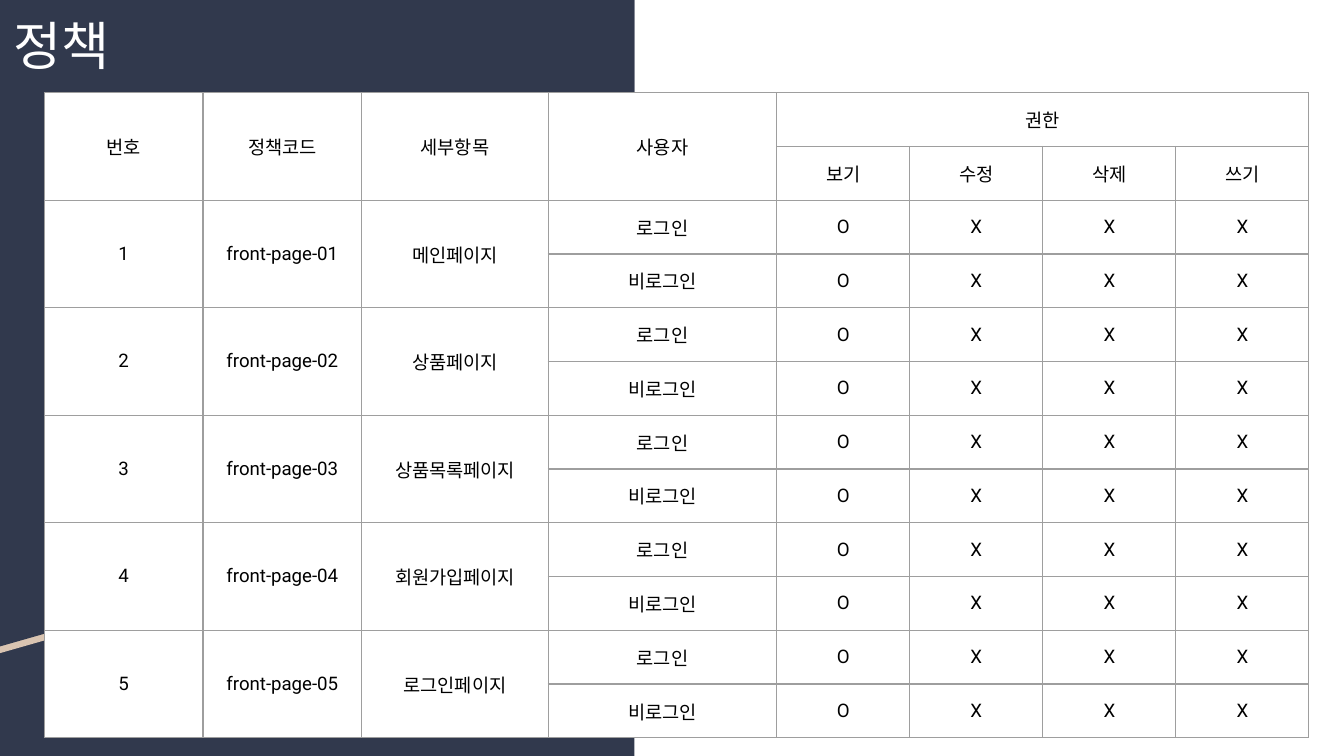
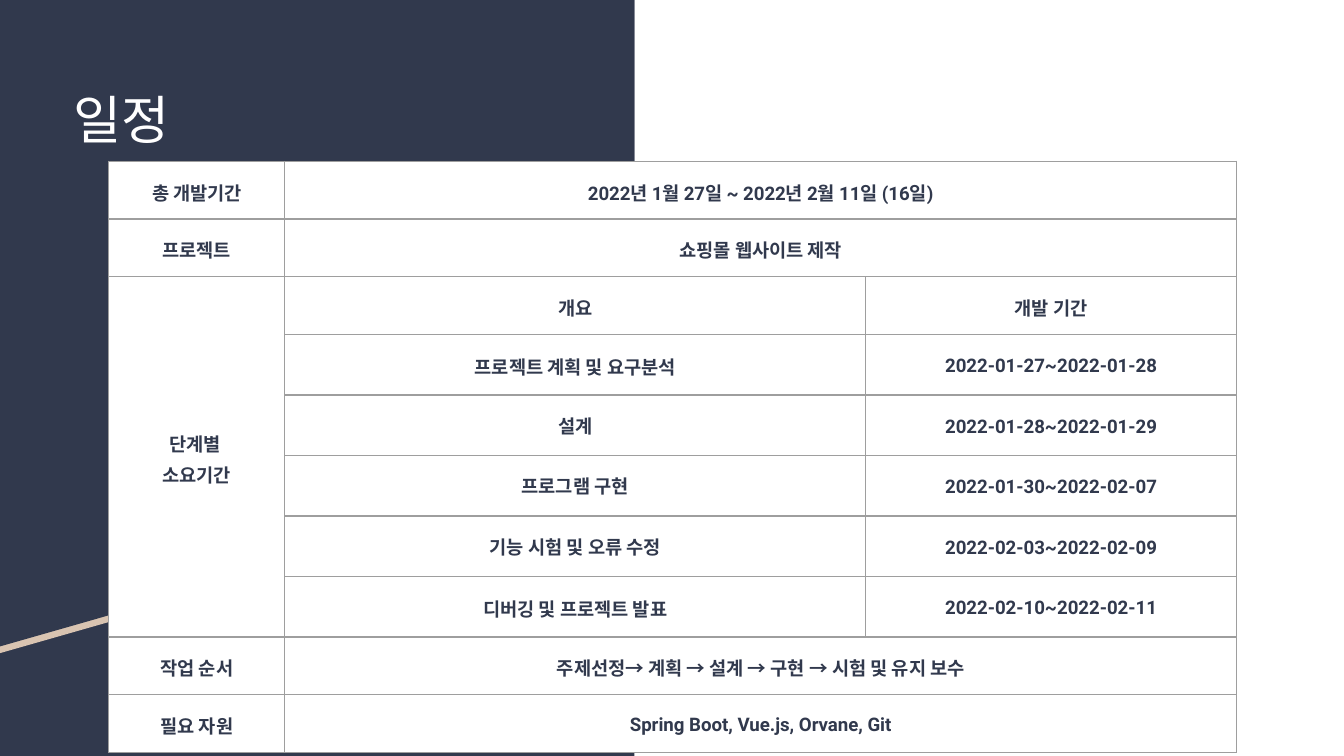
"""Build the policy and schedule slides of a shopping-site plan."""

from dataclasses import dataclass

from lxml.etree import SubElement
from pptx import Presentation
from pptx.dml.color import RGBColor
from pptx.enum.shapes import MSO_SHAPE
from pptx.enum.text import MSO_ANCHOR, PP_ALIGN
from pptx.oxml.ns import qn
from pptx.slide import Slide
from pptx.table import _Cell
from pptx.text.text import TextFrame
from pptx.util import Inches, Pt

COLORS = {
    "navy": "31394D",
    "sand": "D9C4B1",
    "white": "FFFFFF",
    "black": "000000",
    "border": "9E9E9E",
}
TITLE_FONT = "TeX Gyre Schola"
BODY_FONT = "Roboto"
INSET = Inches(0.1)
PAGE_WIDTH = Inches(10)
PAGE_HEIGHT = PAGE_WIDTH * 9 // 16
BAND_WIDTH = 4.72


@dataclass(frozen=True)
class Wedge:
    points: tuple[tuple[float, float], ...]
    color: str


@dataclass(frozen=True)
class Title:
    text: str
    left: float
    top: float


@dataclass(frozen=True)
class Span:
    row: int
    column: int
    height: int
    width: int


@dataclass(frozen=True)
class Grid:
    left: float
    top: float
    columns: tuple[float, ...]
    rows: tuple[float, ...]
    texts: list[list[str]]
    spans: list[Span]
    color: str
    bold: bool = False
    spacing: float = 1.0
    single_spaced: frozenset[tuple[int, int]] = frozenset()


WEDGES = (
    Wedge(((0, 0.05), (4.71, 0.05), (BAND_WIDTH, 3.51), (0, 4.86)), "sand"),
    Wedge(((0, 0), (BAND_WIDTH, 0), (BAND_WIDTH, 3.46), (0, 4.81)), "navy"),
)


def rgb(name: str) -> RGBColor:
    """Return the named colour."""
    return RGBColor.from_string(COLORS[name])


def write_text(
    frame: TextFrame,
    text: str,
    *,
    font: str,
    size: float,
    color: str,
    bold: bool = False,
    align: PP_ALIGN = PP_ALIGN.LEFT,
    spacing: float = 1.0,
    east_asian: str | None = None,
) -> None:
    """Write one formatted paragraph for each line of text."""
    for index, line in enumerate(text.split("\n")):
        para = frame.add_paragraph() if index else frame.paragraphs[0]
        para.alignment = align
        para.line_spacing = spacing
        span = para.add_run()
        span.text = line
        span.font.name = font
        span.font.size = Pt(size)
        span.font.bold = bold
        span.font.color.rgb = rgb(color)
        if east_asian:
            SubElement(span.font._element, qn("a:ea"), typeface=east_asian)


def draw_background(slide: Slide) -> None:
    """Draw the navy band and its slanted sand stripe."""
    band = slide.shapes.add_shape(
        MSO_SHAPE.RECTANGLE, 0, 0, Inches(BAND_WIDTH), PAGE_HEIGHT
    )
    shapes = [(band, "navy")]
    for wedge in WEDGES:
        start, *others = [(Inches(x), Inches(y)) for x, y in wedge.points]
        builder = slide.shapes.build_freeform(*start)
        builder.add_line_segments(others)
        shapes.append((builder.convert_to_shape(), wedge.color))
    for shape, color in shapes:
        shape.shadow.inherit = False
        shape.fill.solid()
        shape.fill.fore_color.rgb = rgb(color)
        shape.line.fill.background()


def draw_title(slide: Slide, title: Title) -> None:
    """Draw the slide title in the navy band."""
    box = slide.shapes.add_textbox(
        Inches(title.left), Inches(title.top), Inches(4.05), Inches(2.74)
    )
    frame = box.text_frame
    frame.word_wrap = True
    frame.margin_left = frame.margin_right = INSET
    frame.margin_top = frame.margin_bottom = INSET
    write_text(
        frame,
        title.text,
        font=TITLE_FONT,
        size=28,
        color="white",
        east_asian=TITLE_FONT,
    )


def style_cell(cell: _Cell) -> None:
    """Give a cell its borders, white fill, insets and middle anchor."""
    properties = cell._tc.get_or_add_tcPr()
    for side in ("lnL", "lnR", "lnT", "lnB"):
        line = SubElement(properties, qn(f"a:{side}"), w=str(Pt(0.75)))
        fill = SubElement(line, qn("a:solidFill"))
        SubElement(fill, qn("a:srgbClr"), val=COLORS["border"])
    cell.fill.solid()
    cell.fill.fore_color.rgb = rgb("white")
    cell.margin_left = cell.margin_right = INSET
    cell.margin_top = cell.margin_bottom = INSET
    cell.vertical_anchor = MSO_ANCHOR.MIDDLE


def draw_grid(slide: Slide, grid: Grid) -> None:
    """Draw a table with merged cells."""
    table = slide.shapes.add_table(
        len(grid.rows),
        len(grid.columns),
        Inches(grid.left),
        Inches(grid.top),
        Inches(sum(grid.columns)),
        Inches(sum(grid.rows)),
    ).table
    table.first_row = table.horz_banding = False
    for column, width in zip(table.columns, grid.columns):
        column.width = Inches(width)
    for row, height in zip(table.rows, grid.rows):
        row.height = Inches(height)
    for span in grid.spans:
        last = table.cell(span.row + span.height - 1, span.column + span.width - 1)
        table.cell(span.row, span.column).merge(last)
    for row_index, texts in enumerate(grid.texts):
        for column_index, text in enumerate(texts):
            cell = table.cell(row_index, column_index)
            style_cell(cell)
            if cell.is_spanned:
                continue
            single = (row_index, column_index) in grid.single_spaced
            write_text(
                cell.text_frame,
                text,
                font=BODY_FONT,
                size=10,
                color=grid.color,
                bold=grid.bold,
                align=PP_ALIGN.CENTER,
                spacing=1.0 if single else grid.spacing,
            )


def policy_grid() -> Grid:
    """Return the table of page permissions for each kind of user."""
    pages = ["메인페이지", "상품페이지", "상품목록페이지", "회원가입페이지", "로그인페이지"]
    rights = ["O", "X", "X", "X"]
    texts = [
        ["번호", "정책코드", "세부항목", "사용자", "권한", "", "", ""],
        ["", "", "", "", "보기", "수정", "삭제", "쓰기"],
    ]
    for number, page in enumerate(pages, start=1):
        texts.append([str(number), f"front-page-{number:02}", page, "로그인", *rights])
        texts.append(["", "", "", "비로그인", *rights])
    spans = [Span(0, 3, 2, 1), Span(0, 4, 1, 4)]
    spans += [
        Span(row, column, 2, 1)
        for row in range(0, len(texts), 2)
        for column in range(3)
    ]
    return Grid(
        left=0.33,
        top=0.69,
        columns=(1.18, 1.18, 1.39, 1.7) + (0.99,) * 4,
        rows=(0.4,) * len(texts),
        texts=texts,
        spans=spans,
        color="black",
    )


def schedule_grid() -> Grid:
    """Return the table of project phases and dates."""
    texts = [
        ["총 개발기간", "2022년 1월 27일 ~ 2022년 2월 11일 (16일)", ""],
        ["프로젝트", "쇼핑몰 웹사이트 제작", ""],
        ["단계별 \n소요기간", "개요", "개발 기간"],
        ["", "프로젝트 계획 및 요구분석", "2022-01-27~2022-01-28"],
        ["", "설계", "2022-01-28~2022-01-29"],
        ["", "프로그램 구현", "2022-01-30~2022-02-07"],
        ["", "기능 시험 및 오류 수정", "2022-02-03~2022-02-09"],
        ["", "디버깅 및 프로젝트 발표", "2022-02-10~2022-02-11"],
        ["작업 순서", "주제선정→ 계획 → 설계 → 구현 → 시험 및 유지 보수", ""],
        ["필요 자원", "Spring Boot, Vue.js, Orvane, Git", ""],
    ]
    return Grid(
        left=0.81,
        top=1.2,
        columns=(1.31, 4.32, 2.76),
        rows=(0.43,) * 3 + (0.45,) * 5 + (0.43,) * 2,
        texts=texts,
        spans=[Span(2, 0, 6, 1)] + [Span(row, 1, 1, 2) for row in (0, 1, 8, 9)],
        color="navy",
        bold=True,
        spacing=1.15,
        single_spaced=frozenset((row, 1) for row in (4, 5, 6)),
    )


def main() -> None:
    """Build and save the deck."""
    deck = Presentation()
    deck.slide_width, deck.slide_height = PAGE_WIDTH, PAGE_HEIGHT
    contents = (
        (Title("정책", 0, 0), policy_grid()),
        (Title(" 일정", 0.34, 0.55), schedule_grid()),
    )
    for title, grid in contents:
        slide = deck.slides.add_slide(deck.slide_layouts[6])
        draw_background(slide)
        draw_title(slide, title)
        draw_grid(slide, grid)
    deck.save("out.pptx")


if __name__ == "__main__":
    main()
